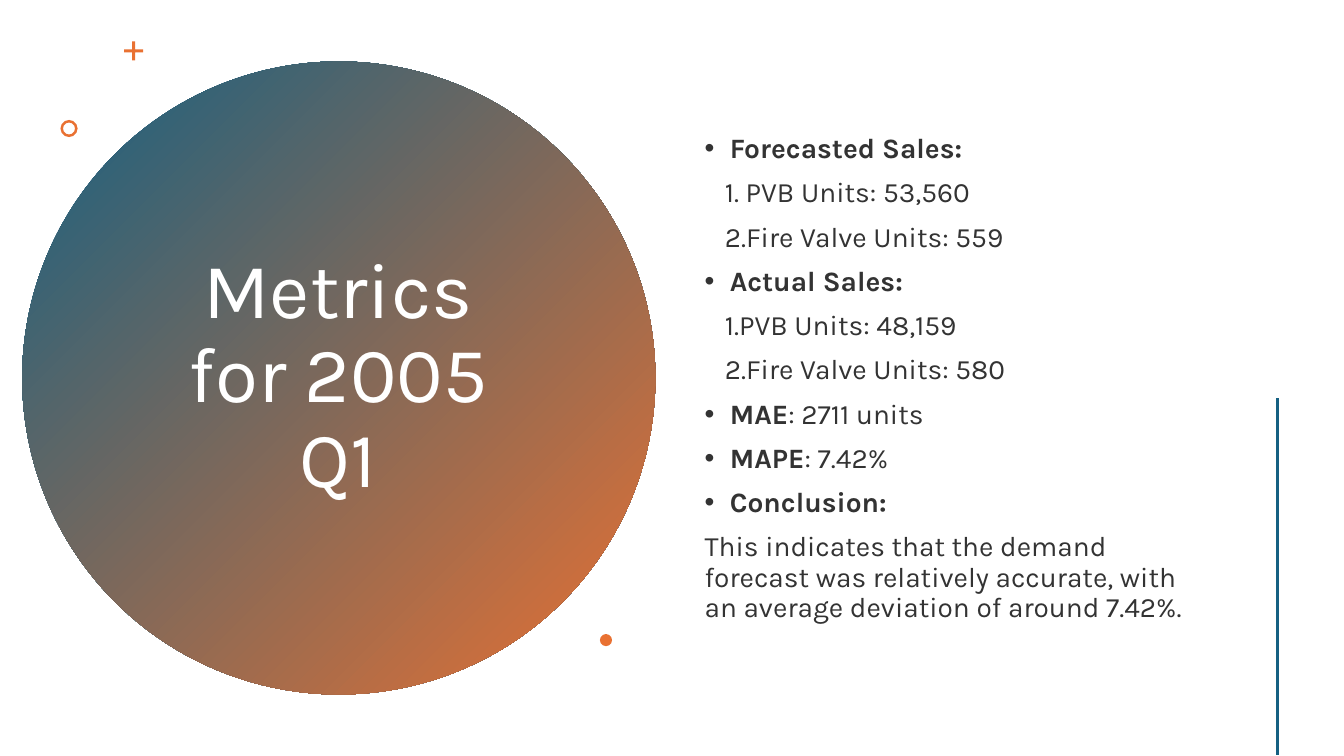
from lxml.etree import SubElement
from pptx import Presentation
from pptx.dml.color import RGBColor
from pptx.enum.shapes import MSO_CONNECTOR, MSO_SHAPE
from pptx.enum.text import MSO_ANCHOR, MSO_AUTO_SIZE, PP_ALIGN
from pptx.oxml.ns import qn
from pptx.util import Inches, Pt

BLUE = RGBColor(0x15, 0x60, 0x82)
ORANGE = RGBColor(0xE9, 0x71, 0x32)
WHITE = RGBColor(0xFF, 0xFF, 0xFF)
DARK = RGBColor(0x33, 0x33, 0x33)
FONT = "Karla"

TITLE = "Metrics for 2005 Q1"
METRICS = [
    ("bullet", "Forecasted Sales:", ""),
    ("item", "", "1. PVB Units: 53,560"),
    ("item", "", "2.Fire Valve Units: 559"),
    ("bullet", "Actual Sales:", ""),
    ("item", "", "1.PVB Units: 48,159"),
    ("item", "", "2.Fire Valve Units: 580"),
    ("bullet", "MAE", ": 2711 units"),
    ("bullet", "MAPE", ": 7.42%"),
    ("bullet", "Conclusion:", ""),
    ("plain", "", "This indicates that the demand forecast was relatively accurate, "
                  "with an average deviation of around 7.42%."),
]
INDENTS = {"bullet": (0.25, -0.25), "item": (0.2, 0), "plain": (0, 0)}
ORNAMENTS = [
    (MSO_SHAPE.CROSS, 1.23, 0.41, 0.19, 0.42),
    (MSO_SHAPE.DONUT, 0.6, 1.19, 0.17, 0.15),
    (MSO_SHAPE.OVAL, 5.95, 6.29, 0.12, None),
]


def add_plain_shape(slide, kind, left, top, size):
    shape = slide.shapes.add_shape(
        kind, Inches(left), Inches(top), Inches(size), Inches(size))
    shape.shadow.inherit = False
    shape.line.fill.background()
    return shape


def set_up_frame(frame):
    frame.word_wrap = True
    frame.auto_size = MSO_AUTO_SIZE.NONE
    frame.vertical_anchor = MSO_ANCHOR.MIDDLE


def format_run(run, size, color, bold=False):
    run.font.name = FONT
    run.font.size = Pt(size)
    run.font.color.rgb = color
    run.font.bold = bold


def add_circle(slide):
    circle = add_plain_shape(slide, MSO_SHAPE.OVAL, 0.22, 0.61, 6.28)
    circle.fill.gradient()
    circle.fill.gradient_angle = 315
    for stop, color in zip(circle.fill.gradient_stops, (BLUE, ORANGE)):
        stop.color.rgb = color
    slide.shapes.title._element.addprevious(circle._element)


def set_title(slide):
    title = slide.shapes.title
    title.left, title.top = Inches(1.36), Inches(1.41)
    title.width, title.height = Inches(3.99), Inches(4.67)
    title.text_frame.text = TITLE
    set_up_frame(title.text_frame)
    paragraph = title.text_frame.paragraphs[0]
    paragraph.alignment = PP_ALIGN.CENTER
    paragraph.line_spacing = 0.9
    format_run(paragraph.runs[0], 56, WHITE)


def add_metrics(slide):
    frame = slide.shapes.add_textbox(
        Inches(6.89), Inches(0.57), Inches(5.22), Inches(6.38)).text_frame
    set_up_frame(frame)
    frame.text = "\n".join(label + value for _, label, value in METRICS)
    for paragraph, (level, label, value) in zip(frame.paragraphs, METRICS):
        paragraph.line_spacing = 0.9
        paragraph.space_before = Pt(10)
        margin, indent = INDENTS[level]
        properties = paragraph._p.get_or_add_pPr()
        properties.set("marL", str(Inches(margin)))
        properties.set("indent", str(Inches(indent)))
        if level == "bullet":
            SubElement(properties, qn("a:buFont")).set("typeface", "Arial")
            SubElement(properties, qn("a:buChar")).set("char", "•")
        first = paragraph.runs[0]
        first.text = label or value
        format_run(first, 20, DARK, bold=bool(label))
        if label and value:
            rest = paragraph.add_run()
            rest.text = value
            format_run(rest, 20, DARK)


def add_ornaments(slide):
    for kind, left, top, size, thickness in ORNAMENTS:
        ornament = add_plain_shape(slide, kind, left, top, size)
        ornament.fill.solid()
        ornament.fill.fore_color.rgb = ORANGE
        if thickness is not None:
            ornament.adjustments[0] = thickness


def add_side_line(slide):
    side_line = slide.shapes.add_connector(
        MSO_CONNECTOR.STRAIGHT, Inches(12.67), Inches(3.95), Inches(12.67), Inches(7.49))
    side_line.line.color.rgb = BLUE
    side_line.line.width = Pt(2)
    SubElement(side_line._element.spPr, qn("a:effectLst"))


def main():
    deck = Presentation()
    deck.slide_width, deck.slide_height = Inches(13.33), Inches(7.5)
    slide = deck.slides.add_slide(deck.slide_layouts[5])
    add_circle(slide)
    set_title(slide)
    add_metrics(slide)
    add_ornaments(slide)
    add_side_line(slide)
    deck.save("out.pptx")


if __name__ == "__main__":
    main()
